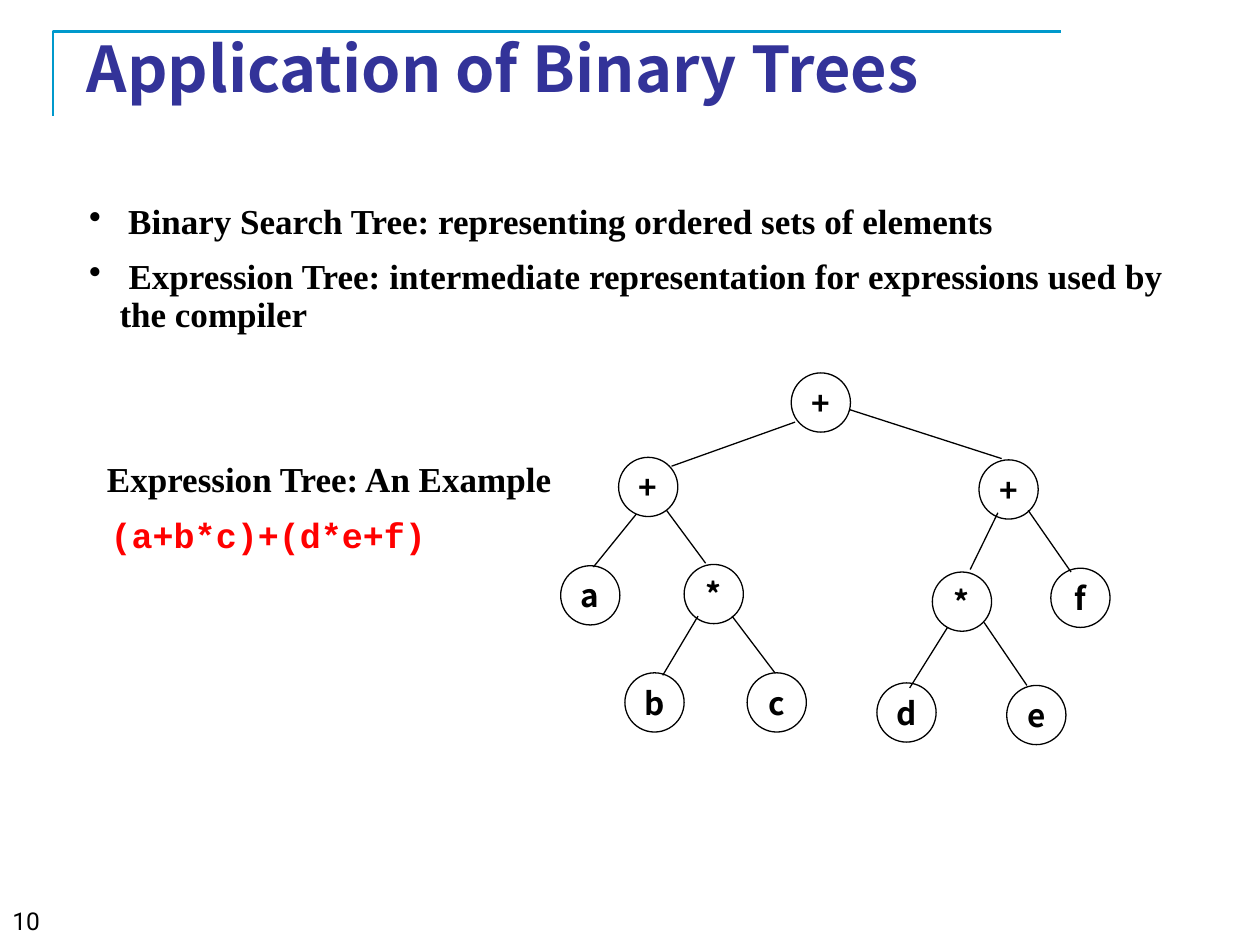
import pptx
import pptx.util
import pptx.dml.color
import pptx.enum.shapes
import pptx.enum.text
import pptx.oxml
import pptx.oxml.ns

Inches, Pt = pptx.util.Inches, pptx.util.Pt
RGBColor = pptx.dml.color.RGBColor
Align, Anchor = pptx.enum.text.PP_ALIGN, pptx.enum.text.MSO_ANCHOR

BLACK = RGBColor(0x00, 0x00, 0x00)
WHITE = RGBColor(0xFF, 0xFF, 0xFF)
RED = RGBColor(0xFF, 0x00, 0x00)
INDIGO = RGBColor(0x33, 0x33, 0x99)
CYAN = RGBColor(0x00, 0x99, 0xCC)
SANS, SERIF, MONO = "Noto Sans CJK KR", "Times New Roman", "Courier New"
NODE_SIZE = 0.47


def add_run(p, text, font, size, color, bold=True):
    r = p.add_run()
    r.text = text
    r.font.name = font
    r.font.size = Pt(size)
    r.font.bold = bold
    r.font.color.rgb = color


prs = pptx.Presentation()
prs.slide_width, prs.slide_height = Inches(10), Inches(7.5)
s = prs.slides.add_slide(prs.slide_layouts[5])

# Corner rule behind the title
builder = s.shapes.build_freeform(Inches(0.42), Inches(0.92))
builder.add_line_segments(
    [(Inches(0.42), Inches(0.25)), (Inches(8.42), Inches(0.25))], close=False)
corner = builder.convert_to_shape()
corner.shadow.inherit = False
corner.fill.background()
corner.line.color.rgb = CYAN
corner.line.width = Pt(1.5)

# Title
title = s.shapes.title
title.left, title.top = Inches(0.59), Inches(0.3)
title.width, title.height = Inches(8.5), Inches(0.47)
tf = title.text_frame
tf.auto_size = pptx.enum.text.MSO_AUTO_SIZE.NONE
tf.vertical_anchor = Anchor.MIDDLE
p = tf.paragraphs[0]
p.alignment = Align.JUSTIFY
add_run(p, "Application of Binary Trees", SANS, 36, INDIGO)

# Slide number
number = s.shapes.add_textbox(Inches(0), Inches(7.14), Inches(3.12), Inches(0.36))
number.text_frame.word_wrap = True
add_run(number.text_frame.paragraphs[0], "10", "Roboto", 14, BLACK, bold=False)

# Body: text, font, colour, space before, left margin, first-line indent, bullet
lines = [
    (" Binary Search Tree: representing ordered sets of elements",
     SERIF, BLACK, 0, 0.24, -0.24, True),
    (" Expression Tree: intermediate representation for expressions used by the compiler",
     SERIF, BLACK, 10, 0.24, -0.24, True),
    ("Expression Tree: An Example", SERIF, BLACK, 73, 0, 0.14, False),
    ("(a+b*c)+(d*e+f)", MONO, RED, 10, 0, 0.17, False),
]
body = s.shapes.add_textbox(Inches(0.61), Inches(1.57), Inches(8.72), Inches(3.07))
tf = body.text_frame
tf.word_wrap = True
for i, (text, font, color, before, margin, indent, bullet) in enumerate(lines):
    p = tf.add_paragraph() if i else tf.paragraphs[0]
    p.alignment = Align.JUSTIFY
    p.line_spacing = 0.9
    p.space_before = Pt(before)
    pPr = p._p.get_or_add_pPr()
    pPr.set("marL", str(Inches(margin)))
    pPr.set("indent", str(Inches(indent)))
    if bullet:
        pPr.append(pptx.oxml.parse_xml(
            f'<a:buChar {pptx.oxml.ns.nsdecls("a")} char="•"/>'))
    add_run(p, text, font, 20, color)

# Expression tree: node label, left, top
nodes = [
    ("+", 6.28, 2.96), ("+", 4.91, 3.63), ("+", 7.77, 3.65),
    ("a", 4.45, 4.49), ("*", 5.43, 4.48), ("*", 7.4, 4.54), ("f", 8.34, 4.51),
    ("b", 4.96, 5.34), ("c", 5.93, 5.34), ("d", 6.96, 5.42), ("e", 7.99, 5.44),
]
# Parent end x, y and child end x, y
edges = [
    (6.31, 3.35, 5.33, 3.7), (6.74, 3.25, 7.95, 3.64),
    (5.05, 4.08, 4.71, 4.5), (5.29, 4.05, 5.6, 4.47),
    (7.92, 4.07, 7.7, 4.52), (8.16, 4.05, 8.5, 4.54),
    (5.54, 4.89, 5.26, 5.36), (5.81, 4.89, 6.15, 5.34),
    (7.52, 4.98, 7.22, 5.46), (7.81, 4.94, 8.15, 5.44),
]
tree = s.shapes.add_group_shape()
for label, left, top in nodes:
    sp = tree.shapes.add_shape(
        pptx.enum.shapes.MSO_SHAPE.OVAL, Inches(left), Inches(top),
        Inches(NODE_SIZE), Inches(NODE_SIZE))
    sp.shadow.inherit = False
    sp.fill.solid()
    sp.fill.fore_color.rgb = WHITE
    sp.line.color.rgb = BLACK
    sp.line.width = Pt(0.75)
    tf = sp.text_frame
    tf.word_wrap = False
    tf.vertical_anchor = Anchor.MIDDLE
    p = tf.paragraphs[0]
    p.alignment = Align.CENTER
    add_run(p, label, SANS, 18, BLACK)

for edge in edges:
    line = tree.shapes.add_connector(
        pptx.enum.shapes.MSO_CONNECTOR.STRAIGHT, *map(Inches, edge))
    line.line.color.rgb = BLACK
    line.line.width = Pt(0.75)
    line._element.spPr.append(pptx.oxml.parse_xml(
        f'<a:effectLst {pptx.oxml.ns.nsdecls("a")}/>'))

prs.save("out.pptx")
